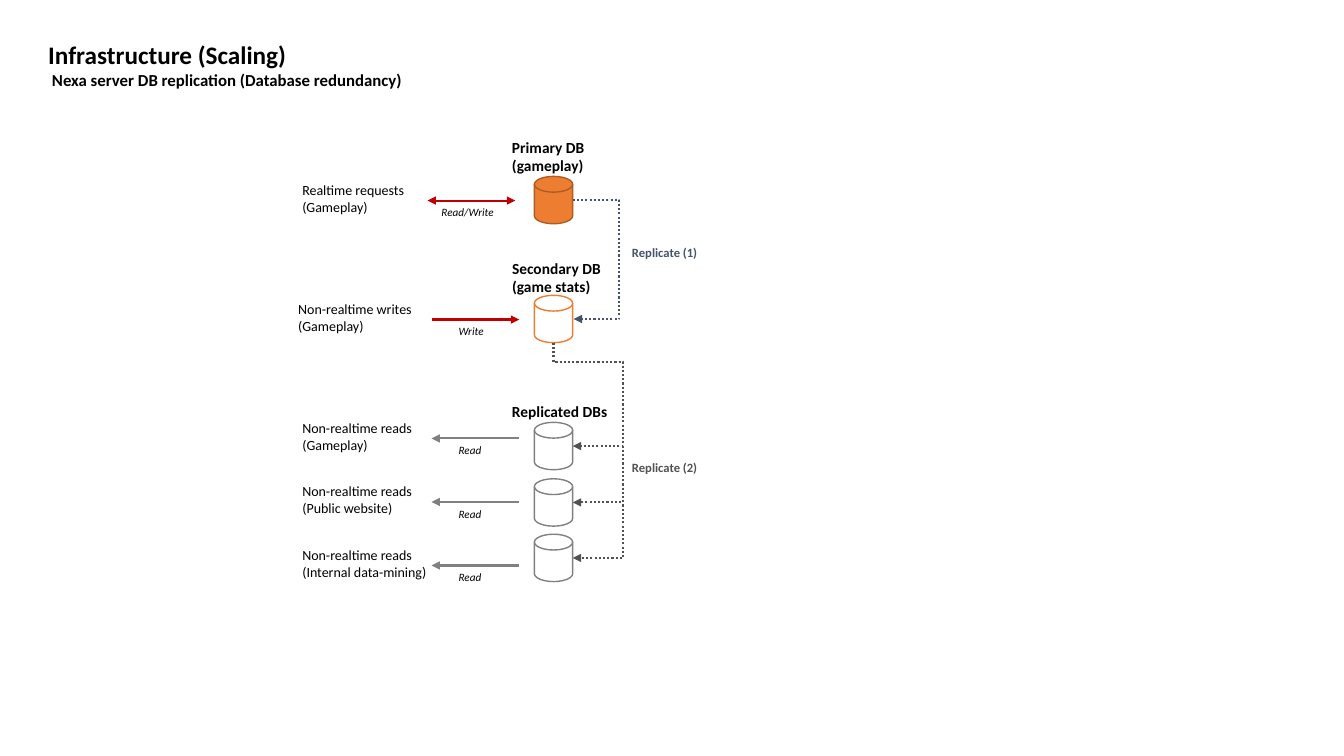
from lxml import etree
from pptx import Presentation
from pptx.dml.color import RGBColor
from pptx.enum.dml import MSO_LINE
from pptx.enum.shapes import MSO_CONNECTOR, MSO_SHAPE
from pptx.enum.text import MSO_AUTO_SIZE
from pptx.oxml.ns import qn
from pptx.util import Inches, Pt

STRAIGHT, ELBOW = MSO_CONNECTOR.STRAIGHT, MSO_CONNECTOR.ELBOW
DISK = MSO_SHAPE.FLOWCHART_MAGNETIC_DISK
DOTTED = MSO_LINE.ROUND_DOT
FIT = MSO_AUTO_SIZE.SHAPE_TO_FIT_TEXT

BLACK = RGBColor(0x00, 0x00, 0x00)
WHITE = RGBColor(0xFF, 0xFF, 0xFF)
ORANGE = RGBColor(0xED, 0x7D, 0x31)
BROWN = RGBColor(0xAF, 0x5C, 0x24)
RED = RGBColor(0xC0, 0x00, 0x00)
GRAY = RGBColor(0x80, 0x80, 0x80)
SLATE = RGBColor(0x44, 0x54, 0x6A)
DARK = RGBColor(0x52, 0x52, 0x52)

DISK_X, DISK_W, DISK_H = 5.3, 0.38, 0.47
DISK_MID, DISK_RIGHT = DISK_X + DISK_W / 2, DISK_X + DISK_W


class Diagram:
    """Draws the replication diagram's elements on one slide."""

    font = "Calibri"

    def __init__(self, slide):
        self.shapes = slide.shapes

    def text(self, x, y, w, h, lines, size, color=BLACK, bold=False, italic=False, wrap=False):
        tb = self.shapes.add_textbox(Inches(x), Inches(y), Inches(w), Inches(h))
        tf = tb.text_frame
        tf.word_wrap = wrap
        tf.auto_size = FIT
        for i, line in enumerate(lines):
            p = tf.add_paragraph() if i else tf.paragraphs[0]
            r = p.add_run()
            r.text = line
            r.font.name = self.font
            r.font.size = Pt(size)
            r.font.bold = bold
            r.font.italic = italic
            r.font.color.rgb = color
        return tf

    def disk(self, y, fill, line):
        sp = self.shapes.add_shape(DISK, Inches(DISK_X), Inches(y), Inches(DISK_W), Inches(DISK_H))
        sp.shadow.inherit = False
        sp.fill.solid()
        sp.fill.fore_color.rgb = fill
        sp.line.color.rgb = line
        sp.line.width = Pt(1)

    def connector(self, kind, x1, y1, x2, y2, color, ends):
        cxn = self.shapes.add_connector(kind, Inches(x1), Inches(y1), Inches(x2), Inches(y2))
        cxn.line.color.rgb = color
        cxn.line.width = Pt(1.5)
        if kind == ELBOW:
            cxn.line.dash_style = DOTTED
        ln = cxn.line._get_or_add_ln()
        for end in ends:
            etree.SubElement(ln, qn(f"a:{end}")).set("type", "triangle")
        spPr = cxn._element.spPr
        etree.SubElement(spPr, qn("a:effectLst"))
        return spPr

    def adjust(self, spPr, preset, *ratios):
        geom = spPr.find(qn("a:prstGeom"))
        geom.set("prst", preset)
        av = geom.find(qn("a:avLst"))
        for i, ratio in enumerate(ratios, 1):
            gd = etree.SubElement(av, qn("a:gd"))
            gd.set("name", f"adj{i}")
            gd.set("fmla", f"val {round(ratio * 100000)}")

    def side_link(self, y1, y2, bend_x, color):
        w = 0.01
        spPr = self.connector(ELBOW, DISK_RIGHT, y1, DISK_RIGHT + w, y2, color, ["tailEnd"])
        self.adjust(spPr, "bentConnector3", (bend_x - DISK_RIGHT) / w)

    def down_link(self, y1, y2, bend_x, bend_y, color):
        drop, run = y2 - y1, DISK_RIGHT - DISK_MID
        x, y = DISK_MID + (run - drop) / 2, y1 + (drop - run) / 2
        spPr = self.connector(ELBOW, x, y, x + drop, y + run, color, ["tailEnd"])
        xfrm = spPr.find(qn("a:xfrm"))
        xfrm.set("rot", str(270 * 60000))
        xfrm.set("flipH", "1")
        self.adjust(spPr, "bentConnector4", (bend_y - y1) / drop, (bend_x - DISK_MID) / run)


def main():
    prs = Presentation()
    prs.slide_width, prs.slide_height = Inches(13.33), Inches(7.5)
    s = prs.slides.add_slide(prs.slide_layouts[6])
    d = Diagram(s)

    title = d.text(0.38, 0.34, 4.33, 0.61,
                   ["Infrastructure (Scaling)", " Nexa server DB replication (Database redundancy)"],
                   18, bold=True, wrap=True)
    subtitle = title.paragraphs[1]
    subtitle.level = 1
    subtitle._p.get_or_add_pPr().set("marL", "0")
    subtitle.runs[0].font.size = Pt(12)

    disks = [(1.75, ORANGE, BROWN), (2.93, WHITE, ORANGE),
             (4.19, WHITE, GRAY), (4.75, WHITE, GRAY), (5.3, WHITE, GRAY)]
    for y, fill, line in disks:
        d.disk(y, fill, line)
    primary, secondary, *replicas = [y + DISK_H / 2 for y, _, _ in disks]

    for y, w, h, lines in [(1.32, 0.96, 0.47, ["Primary DB", "(gameplay)"]),
                           (2.52, 1.09, 0.47, ["Secondary DB", "(game stats)"]),
                           (3.94, 1.16, 0.29, ["Replicated DBs"])]:
        d.text(4.98, y, w, h, lines, 11, bold=True)

    both, right, left = ["headEnd", "tailEnd"], ["tailEnd"], ["headEnd"]
    reads = "Non-realtime reads"
    requests = [
        (1.99, 2.9, 1.23, ["Realtime requests", "(Gameplay)"], 4.24, RED, both, "Read/Write", 4.28, 0.73),
        (3.17, 2.86, 1.34, ["Non-realtime writes", "(Gameplay)"], 4.28, RED, right, "Write", 4.45, 0.46),
        (4.35, 2.9, 1.31, [reads, "(Gameplay)"], 4.28, GRAY, left, "Read", 4.45, 0.43),
        (4.98, 2.9, 1.31, [reads, "(Public website)"], 4.28, GRAY, left, "Read", 4.45, 0.43),
        (5.61, 2.9, 1.45, [reads, "(Internal data-mining)"], 4.28, GRAY, left, "Read", 4.45, 0.43),
    ]
    for y, x, w, lines, arrow_x, color, ends, action, action_x, action_w in requests:
        d.text(x, y - 0.24, w, 0.44, lines, 10)
        d.connector(STRAIGHT, arrow_x, y, arrow_x + 0.87, y, color, ends)
        d.text(action_x, y, action_w, 0.24, [action], 8, italic=True)

    d.side_link(primary, secondary, 6.15, SLATE)
    for replica in replicas:
        d.down_link(secondary + DISK_H / 2, replica, 6.18, 3.59, DARK)
    for y, label, color in [(2.38, "Replicate (1)", SLATE), (4.51, "Replicate (2)", DARK)]:
        d.text(6.17, y, 0.86, 0.25, [label], 9, color, bold=True)

    prs.save("out.pptx")


if __name__ == "__main__":
    main()
